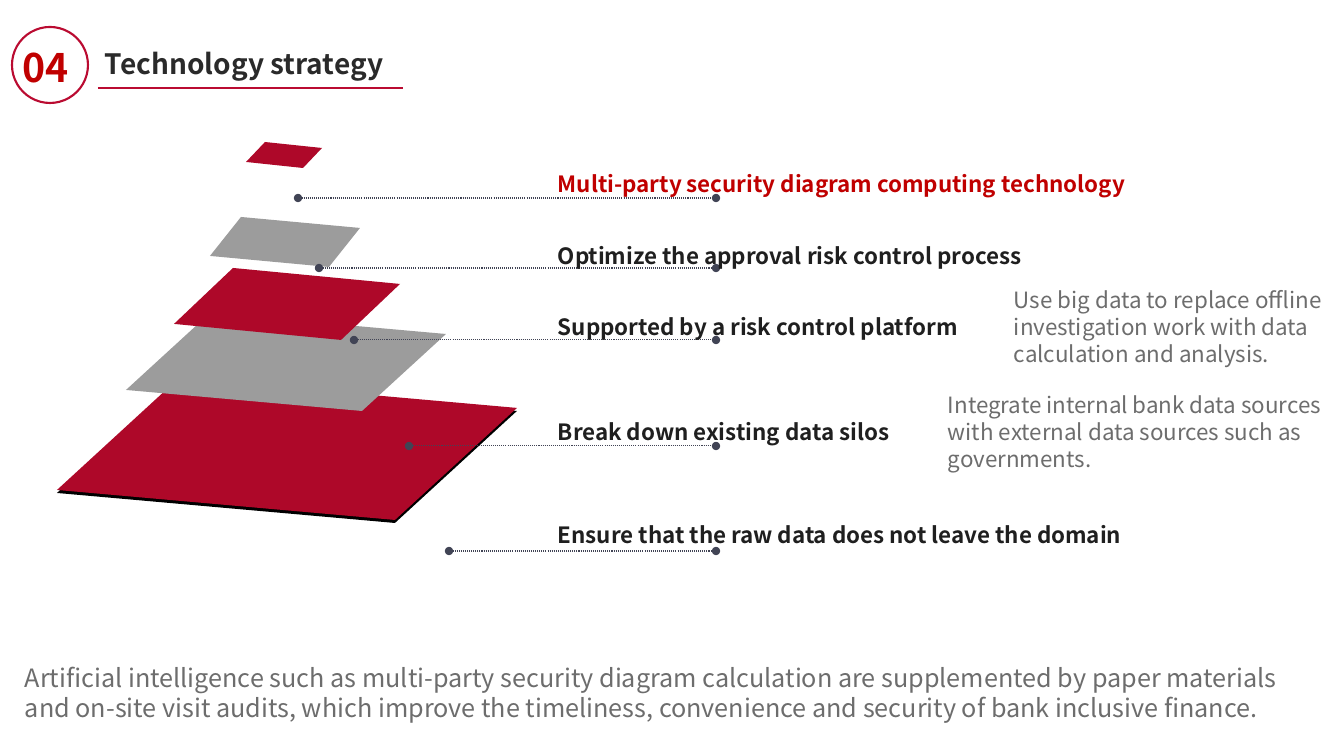
from lxml.etree import SubElement
from pptx import Presentation
from pptx.dml.color import RGBColor
from pptx.enum.dml import MSO_LINE
from pptx.enum.shapes import MSO_CONNECTOR, MSO_SHAPE
from pptx.enum.text import MSO_AUTO_SIZE
from pptx.oxml.ns import qn
from pptx.util import Pt

PX = 914400 / 100.8
FONT = "Noto Sans CJK SC"
CRIMSON = RGBColor(0xBA, 0x0B, 0x31)
LAYER_RED = RGBColor(0xAE, 0x08, 0x29)
LAYER_GRAY = RGBColor(0x9C, 0x9C, 0x9C)
BLACK = RGBColor(0x00, 0x00, 0x00)
LEADER = RGBColor(0x41, 0x44, 0x55)
ACCENT = RGBColor(0xC0, 0x00, 0x00)
TITLE = RGBColor(0x2A, 0x2A, 0x2A)
LABEL = RGBColor(0x1F, 0x1F, 0x1F)
BODY = RGBColor(0x6D, 0x6D, 0x6D)

# Right, front and left corner of each layer, from the base up
LAYERS = [
    ((517, 408), (395, 520), (57, 490), LAYER_RED),
    ((446, 334), (362, 411), (126, 390), LAYER_GRAY),
    ((400, 284), (341, 340), (174, 324), LAYER_RED),
    ((360, 228), (329, 267), (210, 256), LAYER_GRAY),
    ((322, 148), (303, 168), (246, 162), LAYER_RED),
]
# Leader start, leader height, label top, label width, text, colour
LEVELS = [
    (298, 198, 165, 615, "Multi-party security diagram computing technology", ACCENT),
    (319, 268, 237, 504, "Optimize the approval risk control process", LABEL),
    (354, 340, 308, 438, "Supported by a risk control platform", LABEL),
    (409, 446, 413, 367, "Break down existing data silos", LABEL),
    (449, 551, 516, 609, "Ensure that the raw data does not leave the domain", LABEL),
]
# Left, top, width, text
DETAILS = [
    (1004, 281, 361, "Use big data to replace offline investigation work "
                     "with data calculation and analysis."),
    (938, 386, 438, "Integrate internal bank data sources with external "
                    "data sources such as governments."),
]
SUMMARY = ("Artificial intelligence such as multi-party security diagram calculation "
           "are supplemented by paper materials and on-site visit audits, which improve "
           "the timeliness, convenience and security of bank inclusive finance.")


def emu(*lengths):
    return [round(length * PX) for length in lengths]


def add_text(slide, box, text, size, color, bold=False, wrap=False):
    frame = slide.shapes.add_textbox(*emu(*box)).text_frame
    frame.word_wrap = wrap
    frame.auto_size = MSO_AUTO_SIZE.SHAPE_TO_FIT_TEXT
    frame.text = text
    font = frame.paragraphs[0].runs[0].font
    font.name, font.size, font.bold = FONT, Pt(size), bold
    font.color.rgb = color
    return frame


def add_rule(slide, left, right, y, color, width):
    """Draw a horizontal line without a shadow."""
    rule = slide.shapes.add_connector(MSO_CONNECTOR.STRAIGHT, *emu(left, y, right, y))
    rule.line.color.rgb = color
    rule.line.width = Pt(width)
    SubElement(rule._element.spPr, qn("a:effectLst"))
    return rule


def add_header(slide, left, top):
    ring = slide.shapes.add_shape(MSO_SHAPE.OVAL, *emu(left, top, 76, 76))
    ring.shadow.inherit = False
    ring.fill.background()
    ring.line.color.rgb = CRIMSON
    ring.line.width = Pt(1.5)
    title = add_text(slide, (left + 86, top + 15, 306, 41), "Technology strategy",
                     20, TITLE, bold=True)
    title.margin_left, title.margin_right = emu(7, 7)
    title.margin_top, title.margin_bottom = emu(4, 4)
    add_rule(slide, left + 86, left + 391, top + 61, CRIMSON, 1.5)
    add_text(slide, (left + 1, top + 11, 70, 57), "04", 28, ACCENT, bold=True)


def add_layer(slide, right, front, left, color, drop=0):
    """Draw a parallelogram whose back corner follows from the other three."""
    back = (right[0] + left[0] - front[0], right[1] + left[1] - front[1])
    corners = [emu(x, y + drop) for x, y in (back, right, front, left)]
    builder = slide.shapes.build_freeform(*corners[0])
    builder.add_line_segments(corners[1:], close=True)
    layer = builder.convert_to_shape()
    layer.shadow.inherit = False
    layer.fill.solid()
    layer.fill.fore_color.rgb = color
    layer.line.fill.background()


def add_pyramid(slide):
    *base_corners, _ = LAYERS[0]
    add_layer(slide, *base_corners, BLACK, drop=3)
    for layer in LAYERS:
        add_layer(slide, *layer)


def add_levels(slide, label_left, leader_end):
    for start, y, *_ in LEVELS:
        leader = add_rule(slide, start, leader_end, y, LEADER, 0.75)
        leader.line.dash_style = MSO_LINE.ROUND_DOT
        for end in ("a:headEnd", "a:tailEnd"):
            SubElement(leader.line._get_or_add_ln(), qn(end), type="oval")
    for _, _, top, width, text, color in LEVELS:
        add_text(slide, (label_left, top, width, 37), text, 16, color, bold=True)


def add_details(slide):
    for left, top, width, text in DETAILS:
        add_text(slide, (left, top, width, 92), text, 16, BODY, wrap=True)


def main():
    deck = Presentation()
    deck.slide_width, deck.slide_height = emu(1344, 756)
    slide = deck.slides.add_slide(deck.slide_layouts[6])
    add_pyramid(slide)
    add_levels(slide, label_left=548, leader_end=716)
    add_header(slide, left=12, top=27)
    add_text(slide, (15, 657, 1312, 72), SUMMARY, 18, BODY, wrap=True)
    add_details(slide)
    deck.save("out.pptx")


if __name__ == "__main__":
    main()
